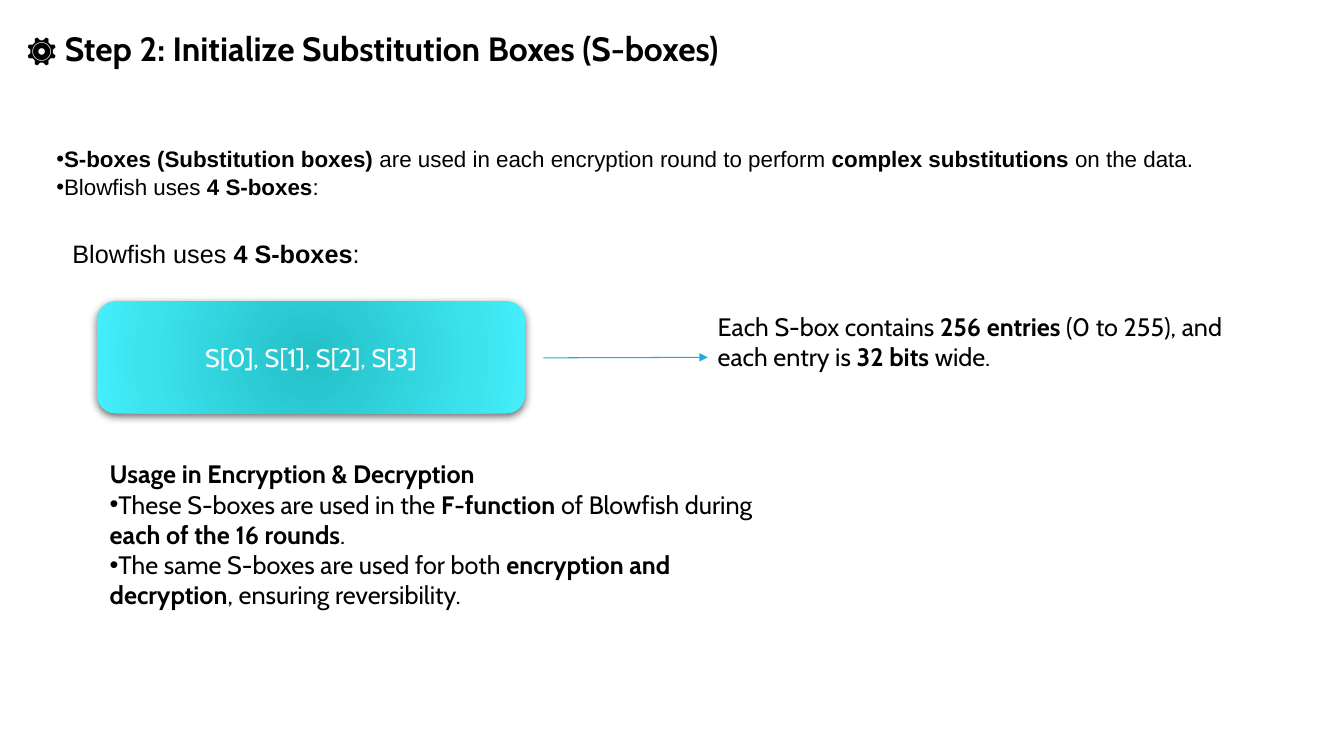
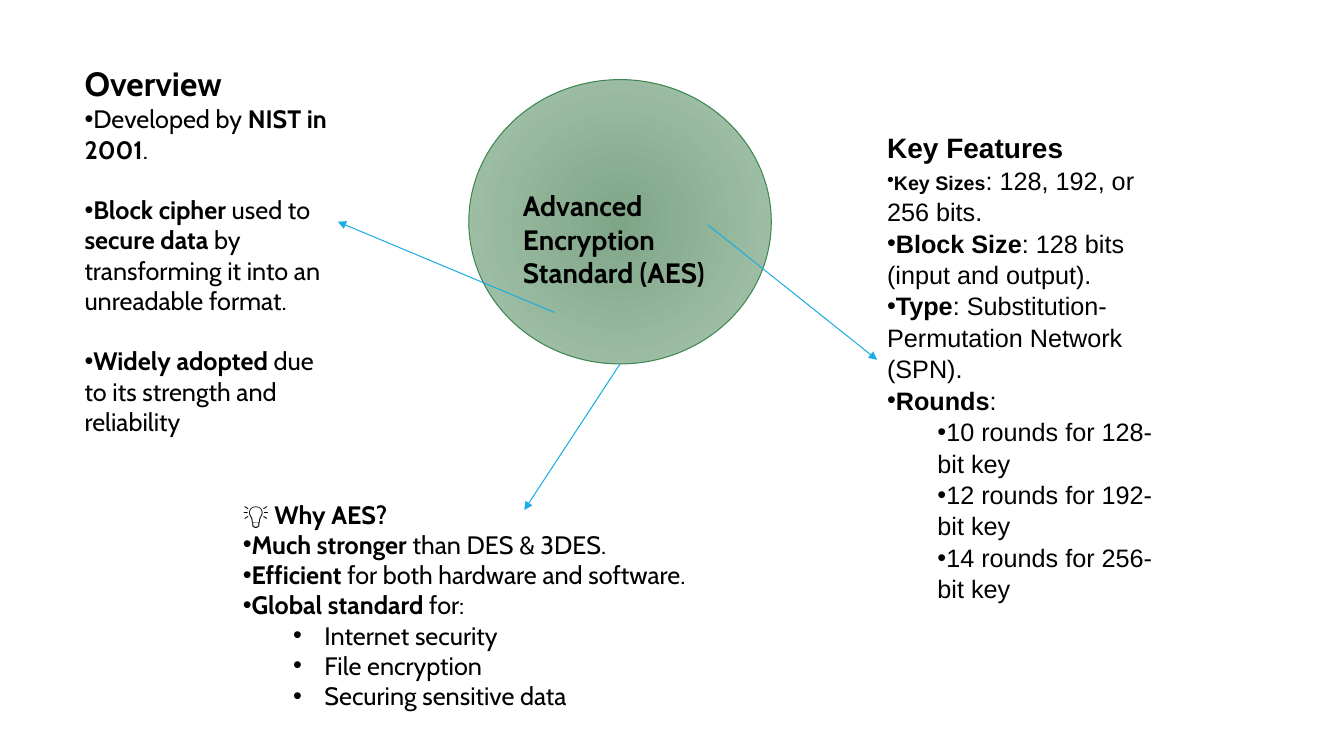
from dataclasses import dataclass

from pptx import Presentation
from pptx import util as u
from pptx.dml.color import RGBColor
from pptx.enum import shapes, text
from pptx.oxml import parse_xml
from pptx.oxml.ns import nsdecls, qn


@dataclass(frozen=True)
class Theme:
    heading_font: str = "Cabin"
    plain_font: str = "Arial"
    ink: str = "000000"
    paper: str = "FFFFFF"
    arrow: str = "1CADE4"
    cyan: tuple = ("24C0C8", "44EEFA")
    green: tuple = ("7FA587", "A9C7AF")
    green_edge: str = "3E8853"
    title: int = 24
    subtitle: int = 20
    body: int = 18
    small: int = 16
    tiny: int = 14
    hairline: float = 0.75
    paragraph_gap: float = 21.6
    plain_spacing: float = 1.04


@dataclass(frozen=True)
class Line:
    text: str
    size: int = Theme.body
    bullet: bool = False
    left: float = 0
    hanging: float = 0
    gap: float = 0


def bullet(words, **options):
    return Line(words, bullet=True, **options)


class Deck:
    def __init__(self, theme):
        self.theme = theme
        self.presentation = Presentation()
        self.presentation.slide_width = u.Inches(13.33)
        self.presentation.slide_height = u.Inches(7.5)
        self.slide = None

    def new_slide(self):
        blank = self.presentation.slide_layouts[6]
        self.slide = self.presentation.slides.add_slide(blank)

    def set_lines(self, frame, lines, font=None, color=None, align=text.PP_ALIGN.LEFT):
        font = font or self.theme.heading_font
        frame.word_wrap = True
        for number, line in enumerate(lines):
            paragraph = frame.add_paragraph() if number else frame.paragraphs[0]
            paragraph.alignment = align
            paragraph.space_before = u.Pt(line.gap)
            if font == self.theme.plain_font:
                paragraph.line_spacing = self.theme.plain_spacing
            if line.bullet:
                self.add_bullet(paragraph, line)
            for part, words in enumerate(line.text.split("**")):
                if words:
                    run = paragraph.add_run()
                    run.text = words
                    run.font.name = font
                    run.font.size = u.Pt(line.size)
                    run.font.bold = part % 2 == 1
                    run.font.color.rgb = RGBColor.from_string(color or self.theme.ink)

    def add_bullet(self, paragraph, line):
        properties = paragraph._p.get_or_add_pPr()
        properties.set("marL", str(u.Inches(line.left)))
        properties.set("indent", str(-u.Inches(line.hanging)))
        properties.append(parse_xml(f'<a:buFont {nsdecls("a")} typeface="Arial"/>'))
        properties.append(parse_xml(f'<a:buChar {nsdecls("a")} char="•"/>'))

    def text_box(self, place, lines, font=None):
        box = self.slide.shapes.add_textbox(*map(u.Inches, place))
        self.set_lines(box.text_frame, lines, font)
        return box

    def glowing_shape(self, kind, place, colors, edge=None):
        shape = self.slide.shapes.add_shape(kind, *map(u.Inches, place))
        shape.shadow.inherit = False
        shape.fill.gradient()
        for stop, position, color in zip(shape.fill.gradient_stops, (0, 1), colors):
            stop.position = position
            stop.color.rgb = RGBColor.from_string(color)
        gradient = shape._element.spPr.find(qn("a:gradFill"))
        gradient.remove(gradient.find(qn("a:lin")))
        gradient.append(parse_xml(
            f'<a:path {nsdecls("a")} path="circle">'
            '<a:fillToRect l="50000" t="50000" r="50000" b="50000"/></a:path>'))
        if edge:
            shape.line.color.rgb = RGBColor.from_string(edge)
            shape.line.width = u.Pt(self.theme.hairline)
        else:
            shape.line.fill.background()
        shape.text_frame.vertical_anchor = text.MSO_ANCHOR.MIDDLE
        return shape

    def drop_shadow(self, shape):
        effects = shape._element.spPr.find(qn("a:effectLst"))
        effects.append(parse_xml(
            f'<a:outerShdw {nsdecls("a")} blurRad="{u.Pt(6)}" dist="{u.Pt(2)}"'
            ' dir="5400000" rotWithShape="0"><a:srgbClr val="000000">'
            '<a:alpha val="60000"/></a:srgbClr></a:outerShdw>'))

    def arrow(self, start, end, target=None):
        line = self.slide.shapes.add_connector(
            shapes.MSO_CONNECTOR.STRAIGHT, *map(u.Inches, start + end))
        line.line.color.rgb = RGBColor.from_string(self.theme.arrow)
        line.line.width = u.Pt(self.theme.hairline)
        properties = line._element.spPr
        properties.find(qn("a:ln")).append(
            parse_xml(f'<a:tailEnd {nsdecls("a")} type="triangle"/>'))
        properties.append(parse_xml(f'<a:effectLst {nsdecls("a")}/>'))
        if target is not None:
            line.end_connect(target, 1)


def build_s_boxes(deck):
    theme = deck.theme
    deck.new_slide()
    deck.text_box((0.16, 0.23, 7.97, 0.5), [
        Line("**⚙️ Step 2: Initialize Substitution Boxes (S-boxes)**", theme.title)])
    deck.text_box((0.46, 1.38, 11.62, 0.64), [
        bullet("**S-boxes (Substitution boxes)** are used in each encryption round "
               "to perform **complex substitutions** on the data.", size=theme.small),
        bullet("Blowfish uses **4 S-boxes**:", size=theme.small),
    ], theme.plain_font)
    deck.text_box((0.62, 2.3, 3.08, 0.4),
                  [Line("Blowfish uses **4 S-boxes**:")], theme.plain_font)

    s_boxes = deck.glowing_shape(shapes.MSO_SHAPE.ROUNDED_RECTANGLE,
                                 (0.96, 2.99, 4.25, 1.11), theme.cyan)
    deck.drop_shadow(s_boxes)
    deck.set_lines(s_boxes.text_frame, [Line("S[0], S[1], S[2], S[3]")],
                   color=theme.paper, align=text.PP_ALIGN.CENTER)
    entries = deck.text_box((7.02, 3.04, 5.69, 1.01), [
        Line("Each S-box contains **256 entries** (0 to 255), "
             "and each entry is **32 bits** wide.")])
    deck.arrow((5.39, 3.55), (7.02, 3.55), entries)
    deck.text_box((0.99, 4.5, 6.67, 1.62), [
        Line("**Usage in Encryption & Decryption**"),
        bullet("These S-boxes are used in the **F-function** of Blowfish during "
               "**each of the 16 rounds**."),
        bullet("The same S-boxes are used for both **encryption and decryption**, "
               "ensuring reversibility."),
    ])


def build_aes(deck):
    theme = deck.theme
    deck.new_slide()
    aes = deck.glowing_shape(shapes.MSO_SHAPE.OVAL, (4.65, 0.79, 3, 2.82),
                             theme.green, theme.green_edge)
    aes.text_frame.margin_top = u.Inches(0.39)
    deck.set_lines(aes.text_frame,
                   [Line("**Advanced Encryption Standard (AES)**", theme.subtitle)])

    deck.text_box((0.74, 0.58, 2.65, 3.84), [
        Line("**Overview**", theme.title),
        bullet("Developed by **NIST in 2001**."),
        bullet("**Block cipher** used to **secure data** by transforming it into "
               "an unreadable format.", gap=theme.paragraph_gap),
        bullet("**Widely adopted** due to its strength and reliability",
               gap=theme.paragraph_gap),
    ])
    features = deck.text_box((8.7, 1.23, 3, 4.68), [
        Line("**Key Features**", theme.subtitle),
        bullet("**Key Sizes**: 128, 192, or 256 bits."),
        bullet("**Block Size**: 128 bits (input and output)."),
        bullet("**Type**: Substitution-Permutation Network (SPN)."),
        bullet("**Rounds**:"),
        *[bullet(f"{rounds} rounds for {bits}-bit key", left=0.5)
          for rounds, bits in ((10, 128), (12, 192), (14, 256))],
    ], theme.plain_font)
    key_sizes = features.text_frame.paragraphs[1].runs[0]
    key_sizes.font.size = u.Pt(theme.tiny)
    deck.text_box((2.31, 4.9, 6.67, 2.22), [
        Line("**💡 Why AES?**"),
        bullet("**Much stronger** than DES & 3DES."),
        bullet("**Efficient** for both hardware and software."),
        bullet("**Global standard** for:"),
        *[bullet(use, left=0.81, hanging=0.31)
          for use in ("Internet security", "File encryption", "Securing sensitive data")],
    ])
    deck.arrow((7.02, 2.23), (8.7, 3.57), features)
    deck.arrow((6.15, 3.61), (5.2, 5.06))
    deck.arrow((5.5, 3.1), (3.35, 2.2))


def main():
    deck = Deck(Theme())
    build_s_boxes(deck)
    build_aes(deck)
    deck.presentation.save("out.pptx")


if __name__ == "__main__":
    main()
